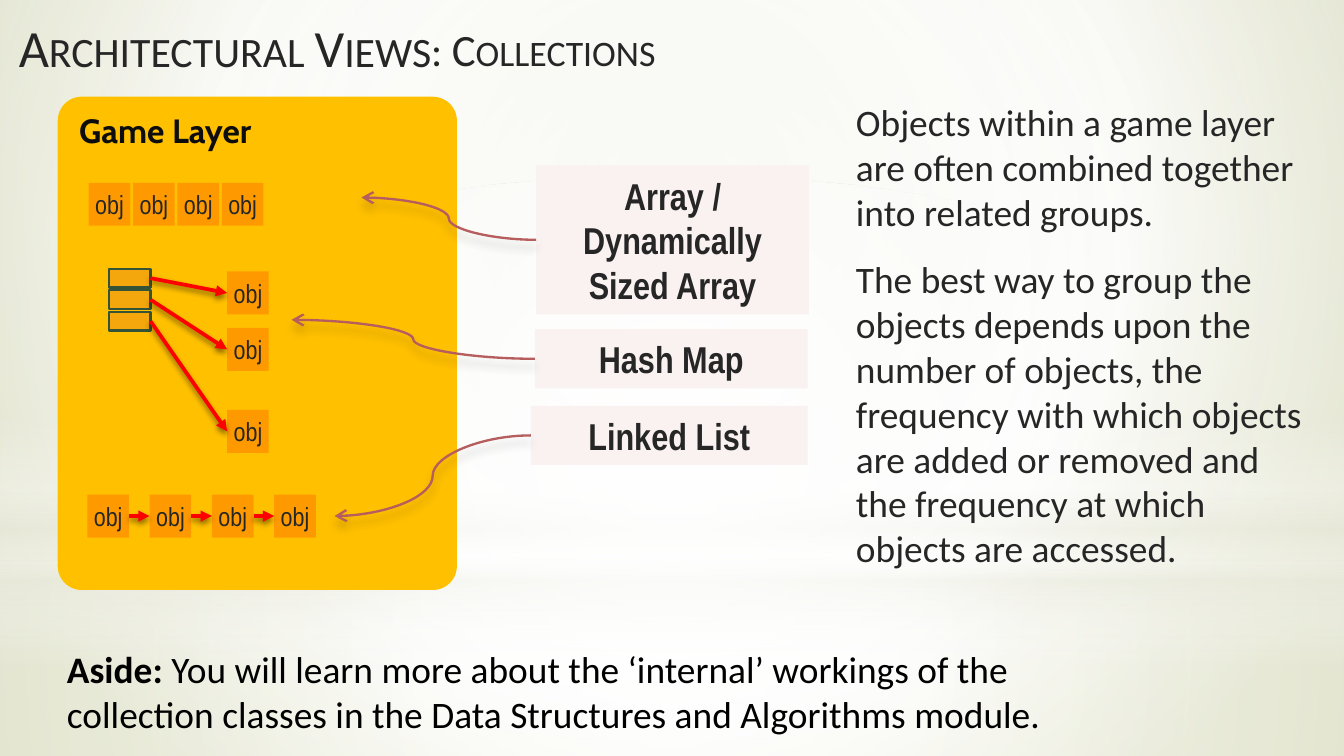
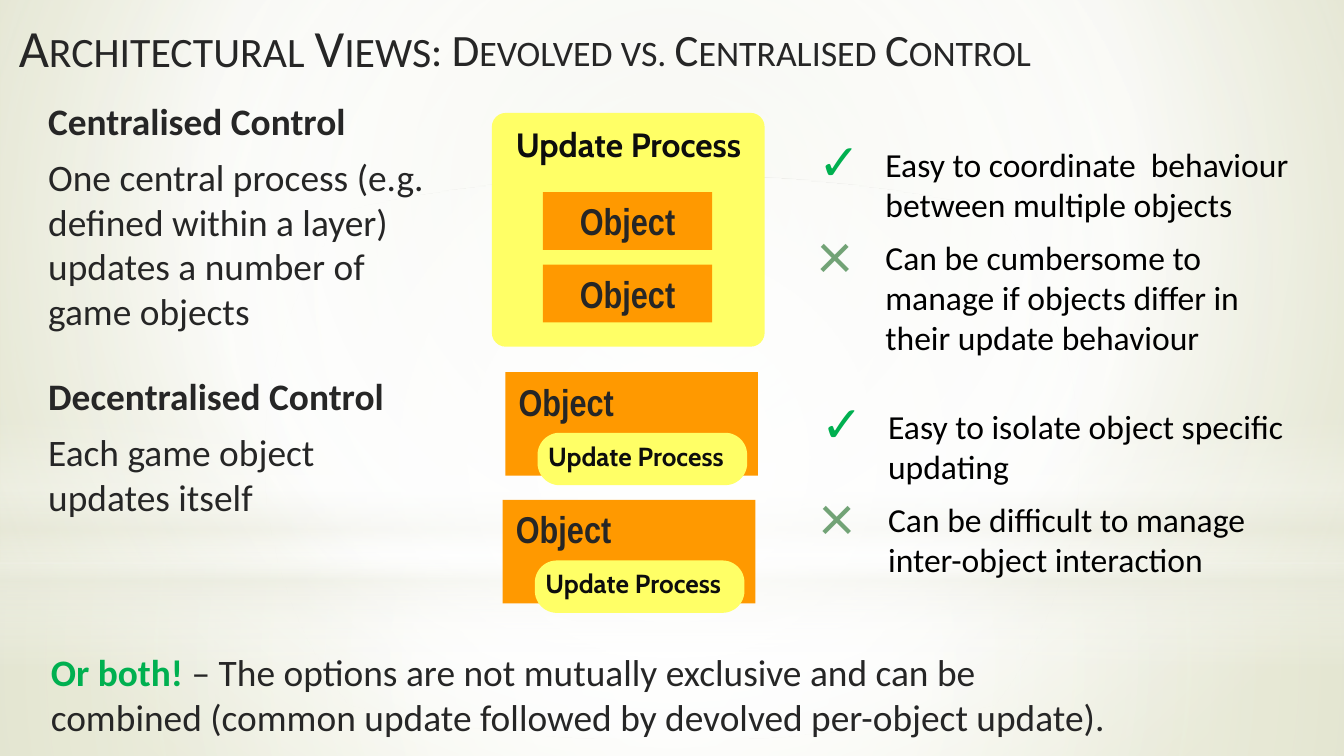
from lxml import etree
from pptx import Presentation
from pptx import util as u
from pptx.dml.color import RGBColor
from pptx.enum import shapes, text
from pptx.oxml import ns

INK = RGBColor(0x26, 0x26, 0x26)
HEADING = RGBColor(0x0D, 0x0D, 0x0D)
BLACK = RGBColor(0, 0, 0)
AMBER = RGBColor(0xFF, 0xC0, 0x00)
ORANGE = RGBColor(0xFF, 0x99, 0x00)
BUCKET = RGBColor(0xF4, 0xA7, 0x0C)
BUCKET_EDGE = RGBColor(0x35, 0x53, 0x37)
YELLOW = RGBColor(0xFF, 0xFF, 0x66)
BLUSH = RGBColor(0xFA, 0xF1, 0xF1)
ROSE = RGBColor(0xB6, 0x5D, 0x5D)
RED = RGBColor(0xFF, 0, 0)
GREEN = RGBColor(0x00, 0xB0, 0x50)
SAGE = RGBColor(0x72, 0xA3, 0x76)

TITLE = dict(name="Calibri", size=u.Pt(28), color=INK)
SUBTITLE = dict(TITLE, size=u.Pt(24))
BODY = dict(name="Calibri", size=u.Pt(20), color=INK)
BODY_BOLD = dict(BODY, bold=True)
POINT = dict(name="Calibri", size=u.Pt(18), color=BLACK)
LABEL = dict(name="Arial Narrow", size=u.Pt(20), color=INK, bold=True)
NODE = dict(name="Arial Narrow", size=u.Pt(14), color=INK)
PANEL = dict(name="Cabin", size=u.Pt(18), color=HEADING, bold=True)
PANEL_SMALL = dict(PANEL, size=u.Pt(14))

RECT = shapes.MSO_SHAPE.RECTANGLE
ROUND = shapes.MSO_SHAPE.ROUNDED_RECTANGLE
OVAL = shapes.MSO_SHAPE.OVAL
TOP, MIDDLE = text.MSO_ANCHOR.TOP, text.MSO_ANCHOR.MIDDLE
LEFT, CENTER = text.PP_ALIGN.LEFT, text.PP_ALIGN.CENTER
A = ns.nsdecls("a")


def block(slide, box, fill=None, preset=RECT, corner=None):
    box = [u.Inches(length) for length in box]
    if fill is None:
        return slide.shapes.add_textbox(*box)
    shape = slide.shapes.add_shape(preset, *box)
    shape.shadow.inherit = False
    shape.fill.solid()
    shape.fill.fore_color.rgb = fill
    shape.line.fill.background()
    if corner is not None:
        shape.adjustments[0] = corner
    return shape


def write(shape, paragraphs, align=LEFT, anchor=TOP, after=0, inset=None):
    frame = shape.text_frame
    frame.word_wrap = True
    frame.auto_size = text.MSO_AUTO_SIZE.NONE
    frame.vertical_anchor = anchor
    if inset is not None:
        for side in ("left", "top", "right", "bottom"):
            setattr(frame, f"margin_{side}", u.Inches(inset))
    for index, pieces in enumerate(paragraphs):
        paragraph = frame.add_paragraph() if index else frame.paragraphs[0]
        paragraph.alignment = align
        paragraph.space_after = u.Pt(after)
        for words, look in pieces:
            run = paragraph.add_run()
            run.text = words
            for key, value in look.items():
                if key == "color":
                    run.font.color.rgb = value
                else:
                    setattr(run.font, key, value)
    return shape


prs = Presentation()
prs.slide_width, prs.slide_height = u.Inches(10), u.Inches(10 * 9 / 16)
master = prs.slide_master

topics = []
for topic in ("Collections", "Devolved vs. Centralised Control"):
    slide = prs.slides.add_slide(prs.slide_layouts[5])
    heading = slide.shapes.title
    for side, length in dict(left=0.04, top=0.06, width=4.72, height=0.63).items():
        setattr(heading, side, u.Inches(length))
    write(heading, [[("Architectural Views", TITLE)]])
    subtitle = write(block(slide, (3.11, 0.06, 6.3, 0.63)), [[(": ", TITLE), (topic, SUBTITLE)]])
    for part in (heading, subtitle):
        for properties in part.element.iter(ns.qn("a:rPr")):
            properties.set("cap", "small")
    topics.append(slide)
collections, control = topics

centre = (50, 50, 50, 50)
backdrop = [
    (None, None, [(0, "E3E5D1", 100), (60, "FFFFFF", 100), (100, "CCD09F", 100)], (20, 10, 20, 60)),
    ((0, 4.19, 10, 1.44), RECT, [(0, "FFFFFF", 91), (37, "FFFFFF", 76), (100, "EAEBDE", 79)], centre),
    ((0, 0, 10, 4.19), RECT, [(0, "FFFFFF", 89), (48, "FFFFFF", 62), (100, "EAEBDE", 79)], centre),
    ((0, 3.09, 10, 1.88), RECT, [(0, "FFFFFF", 0), (29, "FFFFFF", 30), (45, "EAEBDE", 40),
                                 (55, "FFFFFF", 26), (65, "EAEBDE", 60), (100, "FFFFFF", 0)], None),
    ((0, 1.31, 10, 4.19), OVAL, [(0, "FFFFFF", 100), (56, "FFFFFF", 0)], centre),
]
for layer, (box, preset, stops, focus) in enumerate(backdrop):
    if box is None:
        owner = master
        master.background.fill.background()
    else:
        owner = block(collections, box, INK, preset)
        owner.fill.background()
        owner.element.nvSpPr.cNvPr.id = 100 + layer
        master.shapes.element.insert(1 + layer, owner.element)
    colours = "".join(
        f'<a:gs pos="{place * 1000}"><a:srgbClr val="{colour}"><a:alpha val="{alpha * 1000}"/></a:srgbClr></a:gs>'
        for place, colour, alpha in stops)
    direction = '<a:lin ang="5400000" scaled="0"/>'
    if focus:
        sides = " ".join(f'{side}="{share * 1000}"' for side, share in zip("ltrb", focus))
        direction = f'<a:path path="circle"><a:fillToRect {sides}/></a:path>'
    gradient = etree.fromstring(f'<a:gradFill {A} rotWithShape="1"><a:gsLst>{colours}</a:gsLst>{direction}</a:gradFill>')
    empty_fill = next(owner.element.iter(ns.qn("a:noFill")))
    empty_fill.getparent().replace(empty_fill, gradient)

block(collections, (0.43, 0.72, 2.97, 3.67), AMBER, ROUND, 0.06)
write(block(collections, (0.49, 0.78, 2.21, 0.38)), [[("Game Layer", PANEL)]], anchor=MIDDLE)
write(block(collections, (0.4, 4.76, 7.66, 0.89)), [[
    ("Aside: ", dict(BODY_BOLD, color=BLACK)),
    ("You will learn more about the ‘internal’ workings of the collection classes "
     "in the Data Structures and Algorithms module.", dict(BODY, color=BLACK))]])
write(block(collections, (6.27, 0.69, 3.61, 3.8)), [
    [("Objects within a game layer are often combined together into related groups.", BODY)],
    [("The best way to group the objects depends upon the number of objects, the frequency with "
      "which objects are added or removed and the frequency at which objects are accessed.", BODY)],
], after=12.2)

links = []
kinds = [
    ("Array / Dynamically Sized Array", (3.99, 1.23, 2.03, 1.11), (2.69, 1.47)),
    ("Hash Map", (3.98, 2.45, 2.03, 0.44), (2.17, 2.38)),
    ("Linked List", (3.95, 3.02, 2.06, 0.44), (2.49, 3.84)),
]
for words, box, target in kinds:
    kind = write(block(collections, box, BLUSH), [[(words, LABEL)]], CENTER, MIDDLE)
    links.append((kind, 1, None, target))

array_spots = [(0.66 + 0.33 * i, 1.36) for i in range(4)]
hash_spots = [(1.69, y) for y in (2.02, 2.44, 3.05)]
list_spots = [(0.65 + (2.04 - 0.65) / 3 * i, 3.68) for i in range(4)]
nodes = [write(block(collections, (x, y, 0.31, 0.32), ORANGE), [[("obj", NODE)]], CENTER, MIDDLE, inset=0.04)
         for x, y in array_spots + hash_spots + list_spots]
hashed, chained = nodes[4:7], nodes[7:]
for row, entry in enumerate(hashed):
    bucket = block(collections, (0.81, 2 + 0.16 * row, 0.31, 0.14), BUCKET)
    bucket.line.color.rgb = BUCKET_EDGE
    bucket.line.width = u.Pt(1.25)
    links.append((bucket, 3, entry, (0, 0)))
for node, following in zip(chained, chained[1:]):
    links.append((node, 3, following, (0, 0)))

for source, site, target, end in links:
    curved = target is None
    route = shapes.MSO_CONNECTOR.CURVE if curved else shapes.MSO_CONNECTOR.STRAIGHT
    link = collections.shapes.add_connector(route, 0, 0, u.Inches(end[0]), u.Inches(end[1]))
    link.begin_connect(source, site)
    if curved:
        link.end_x, link.end_y = u.Inches(end[0]), u.Inches(end[1])
    else:
        link.end_connect(target, 1)
    link.line.color.rgb = ROSE if curved else RED
    link.line.width = u.Pt(1.25 if curved else 2)
    head = "arrow" if curved else "triangle"
    alpha, blur, distance = (20, 5, 4) if curved else (45, 3.1, 1.8)
    outline = next(link.element.iter(ns.qn("a:ln")))
    outline.append(etree.fromstring(f'<a:tailEnd {A} type="{head}"/>'))
    outline.addnext(etree.fromstring(
        f'<a:effectLst {A}><a:outerShdw blurRad="{u.Pt(blur)}" dist="{u.Pt(distance)}" dir="5400000" '
        f'rotWithShape="0"><a:srgbClr val="000000"><a:alpha val="{alpha * 1000}"/></a:srgbClr>'
        f'</a:outerShdw></a:effectLst>'))

block(control, (3.66, 0.84, 2.03, 1.74), YELLOW, ROUND, 0.06)
write(block(control, (3.74, 0.87, 2.21, 0.4)), [[("Update Process", PANEL)]], anchor=MIDDLE)
for y in (1.43, 1.97):
    write(block(control, (4.04, y, 1.26, 0.43), ORANGE), [[("Object", LABEL)]], CENTER, MIDDLE)
for x, y in ((3.76, 2.77), (3.74, 3.72)):
    write(block(control, (x, y, 1.88, 0.77), ORANGE), [[("Object", LABEL)]])
    block(control, (x + 0.24, y + 0.45, 1.56, 0.39), YELLOW, ROUND, 0.42)
    write(block(control, (x + 0.22, y + 0.45, 1.72, 0.34)), [[("Update Process", PANEL_SMALL)]], anchor=MIDDLE)

approaches = [
    ((0.26, 0.68, 3.08, 1.87), "Centralised Control",
     "One central process (e.g. defined within a layer) updates a number of game objects",
     (5.93, 1.02, 3.87, 2.58), "Easy to coordinate  behaviour between multiple objects",
     "Can be cumbersome to manage if objects differ in their update behaviour"),
    ((0.26, 2.73, 3.08, 1.62), "Decentralised Control", "Each game object updates itself",
     (5.95, 2.97, 3.7, 2.34), "Easy to isolate object specific updating",
     "Can be difficult to manage inter-object interaction"),
]
for box, name, summary, verdict_box, benefit, drawback in approaches:
    write(block(control, box), [[(name, BODY_BOLD)], [(summary, BODY)]], after=6)
    verdict = write(block(control, verdict_box), [[(benefit, POINT)], [(drawback, POINT)]], after=6.6)
    marks = (("✓", GREEN, 150), ("×", SAGE, 200))
    for properties, (mark, colour, share) in zip(verdict.element.iter(ns.qn("a:pPr")), marks):
        properties.set("marL", str(u.Inches(0.56)))
        properties.set("indent", str(u.Inches(-0.5)))
        for bullet in (f'<a:buClr {A}><a:srgbClr val="{colour}"/></a:buClr>',
                       f'<a:buSzPct {A} val="{share * 1000}"/>',
                       f'<a:buFont {A} typeface="Calibri"/>',
                       f'<a:buChar {A} char="{mark}"/>'):
            properties.append(etree.fromstring(bullet))

write(block(control, (0.28, 4.78, 8.2, 0.77)), [[
    ("Or both! ", dict(BODY_BOLD, color=GREEN)),
    ("– The options are not mutually exclusive and can be combined "
     "(common update followed by devolved per-object update).", BODY)]], after=6)

prs.save("out.pptx")
